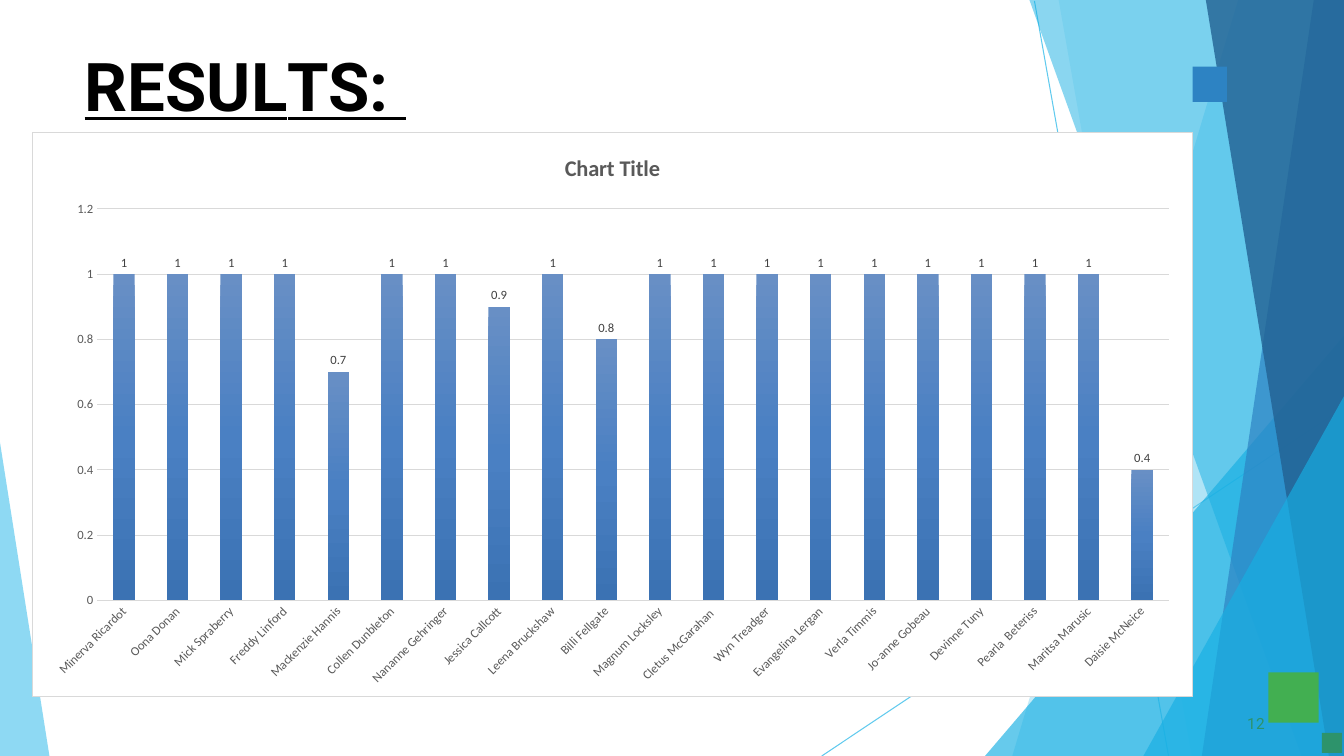
from dataclasses import dataclass
from lxml import etree
from pptx import Presentation
from pptx.chart.data import CategoryChartData
from pptx.dml.color import RGBColor
from pptx.enum.chart import XL_CHART_TYPE, XL_LABEL_POSITION, XL_TICK_MARK
from pptx.enum.shapes import MSO_CONNECTOR, MSO_SHAPE
from pptx.enum.text import MSO_ANCHOR, MSO_AUTO_SIZE, PP_ALIGN
from pptx.oxml import parse_xml
from pptx.oxml.ns import nsdecls, qn
from pptx.util import Inches, Pt

COLUMN = XL_CHART_TYPE.COLUMN_CLUSTERED
OUTSIDE = XL_LABEL_POSITION.OUTSIDE_END
NO_TICK = XL_TICK_MARK.NONE
STRAIGHT = MSO_CONNECTOR.STRAIGHT
RECT = MSO_SHAPE.RECTANGLE
TOP = MSO_ANCHOR.TOP
NO_FIT = MSO_AUTO_SIZE.NONE
LEFT = PP_ALIGN.LEFT

WIDE, HIGH = 13.33, 7.5
COLORS = {
    "sky": "5FCAEE", "cyan": "17AFE3", "blue": "2D83C3", "navy": "226192",
    "green": "42AF51", "teal": "2D936B", "black": "000000", "white": "FFFFFF",
    "rule": "D9D9D9", "axis": "595959", "label": "404040",
    "light": "688FC5", "mid": "4A80C3", "dark": "3B72B3",
}


@dataclass
class Facet:
    points: list[tuple[float, float]]
    color: str
    alpha: int


@dataclass
class Ray:
    start: tuple[float, float]
    end: tuple[float, float]


@dataclass
class Block:
    left: float
    top: float
    width: float
    height: float
    color: str


def band(top: float, foot: float) -> list[tuple[float, float]]:
    """Corners of a full-height band that ends at the right edge."""
    return [(WIDE, 0), (top, 0), (foot, HIGH), (WIDE, HIGH)]


def wedge(top: float, foot: float) -> list[tuple[float, float]]:
    """Corners of a triangle in the bottom right corner."""
    return [(WIDE, top), (foot, HIGH), (WIDE, HIGH)]


RAYS = [Ray((10.26, 0.01), (11.59, HIGH)), Ray((WIDE, 4.04), (8.15, HIGH))]
FACETS = [
    Facet(band(12.28, 10.04), "sky", 36),
    Facet(band(10.5, 11.82), "sky", 20),
    Facet(wedge(3.33, 9.77), "cyan", 66),
    Facet(band(10.21, 12.91), "cyan", 50),
    Facet(band(13.03, 11.92), "blue", 70),
    Facet(band(11.96, 13.18), "navy", 80),
    Facet(wedge(3.93, 11.34), "cyan", 66),
    Facet([(0, 4.39), (0, HIGH), (0.49, HIGH)], "sky", 70),
]
BLOCKS = [
    Block(12.58, 6.67, 0.5, 0.5, "green"),
    Block(11.83, 0.66, 0.34, 0.35, "blue"),
    Block(13.11, 7.27, 0.2, 0.2, "teal"),
]
LETTERS = [("R", 0), ("E", -0.4), ("S", 0.1), ("U", -0.3), ("L", -4),
           ("TS: ", 0)]
SCORES = {
    "Minerva Ricardot": 1, "Oona Donan": 1, "Mick Spraberry": 1,
    "Freddy Linford": 1, "Mackenzie Hannis": 0.7, "Collen Dunbleton": 1,
    "Nananne Gehringer": 1, "Jessica Callcott": 0.9, " Leena Bruckshaw": 1,
    "Billi Fellgate": 0.8, "Magnum Locksley": 1, "Cletus McGarahan ": 1,
    " Wyn Treadger": 1, "Evangelina Lergan": 1, "Verla Timmis": 1,
    "Jo-anne Gobeau": 1, "Devinne Tuny": 1, "Pearla  Beteriss": 1,
    "Maritsa Marusic": 1, "Daisie McNeice": 0.4,
}
BOX = (0.32, 1.31, 11.51, 5.61)
PLOT = (0.64, 0.76, 10.64, 3.89)
FRAME = dict(margin_left=0, margin_right=0, margin_bottom=0, word_wrap=True,
             margin_top=Inches(0.01), vertical_anchor=TOP, auto_size=NO_FIT)


def rgb(name: str) -> RGBColor:
    return RGBColor.from_string(COLORS[name])


def style(item, **values) -> None:
    for key, value in values.items():
        setattr(item, key, value)


def ink(font, face: str, size: float, color: str, **values) -> None:
    style(font, name=face, size=Pt(size), **values)
    font.color.rgb = rgb(color)


def paint(shape, color: str) -> None:
    shape.shadow.inherit = False
    shape.fill.solid()
    shape.fill.fore_color.rgb = rgb(color)
    shape.line.fill.background()


def draw_ray(slide, ray: Ray) -> None:
    ends = [Inches(n) for n in ray.start + ray.end]
    line = slide.shapes.add_connector(STRAIGHT, *ends)
    line.line.color.rgb = rgb("sky")
    line.line.width = Pt(0.75)
    etree.SubElement(line.element.spPr, qn("a:effectLst"))


def draw_facet(slide, facet: Facet) -> None:
    first, *rest = [(Inches(x), Inches(y)) for x, y in facet.points]
    path = slide.shapes.build_freeform(*first)
    path.add_line_segments(rest, close=True)
    shape = path.convert_to_shape()
    paint(shape, facet.color)
    tint = shape.element.spPr.find(f"{qn('a:solidFill')}/{qn('a:srgbClr')}")
    etree.SubElement(tint, qn("a:alpha"), val=str(facet.alpha * 1000))


def draw_block(slide, block: Block) -> None:
    place = (block.left, block.top, block.width, block.height)
    paint(slide.shapes.add_shape(RECT, *map(Inches, place)), block.color)


def write_title(slide) -> None:
    title = slide.shapes.title
    style(title, left=Inches(0.84), top=Inches(0.43),
          width=Inches(3.42), height=Inches(0.82))
    style(title.text_frame, **FRAME)
    para = title.text_frame.paragraphs[0]
    style(para, alignment=LEFT, space_before=Pt(1.1))
    for text, gap in LETTERS:
        run = para.add_run()
        run.text = text
        ink(run.font, "Roboto", 48, "black", bold=True, underline=True)
        run.font._element.set("spc", str(round(gap * 100)))


def write_page(slide) -> None:
    box = slide.shapes.add_textbox(*map(Inches, (12.33, 7.07, 0.25, 0.21)))
    style(box.text_frame, **FRAME)
    box.text_frame.margin_left = Inches(0.04)
    para = box.text_frame.paragraphs[0]
    run = para.add_run()
    run.text = "12"
    ink(run.font, "Roboto", 11, "teal")
    run.font._element.set("spc", "10")


def shade(bars) -> None:
    """Give the bars a three-stop vertical gradient."""
    stops = "".join(
        f'<a:gs pos="{pos}"><a:srgbClr val="{COLORS[name]}"/></a:gs>'
        for pos, name in ((0, "light"), (50000, "mid"), (100000, "dark")))
    bars.format.fill.background()
    props = bars.format.fill._xPr
    props.replace(props.find(qn("a:noFill")), parse_xml(
        f'<a:gradFill {nsdecls("a")}><a:gsLst>{stops}</a:gsLst>'
        '<a:lin ang="5400000" scaled="0"/></a:gradFill>'))


def fit_plot(chart) -> None:
    """Fix the inner plot area and frame the whole chart."""
    root = chart.element.find(qn("c:chart"))
    sides = zip("xywh", PLOT, BOX[2:] * 2)
    spots = "".join(f'<c:{side} val="{part / full:.4f}"/>'
                    for side, part, full in sides)
    root.find(qn("c:plotArea")).insert(0, parse_xml(
        f'<c:layout {nsdecls("c")}><c:manualLayout>'
        '<c:layoutTarget val="inner"/><c:xMode val="edge"/>'
        f'<c:yMode val="edge"/>{spots}</c:manualLayout></c:layout>'))
    root.addnext(parse_xml(
        f'<c:spPr {nsdecls("c", "a")}><a:solidFill>'
        f'<a:srgbClr val="{COLORS["white"]}"/></a:solidFill><a:ln w="9525">'
        f'<a:solidFill><a:srgbClr val="{COLORS["rule"]}"/></a:solidFill>'
        '</a:ln></c:spPr>'))


def draw_chart(slide) -> None:
    data = CategoryChartData()
    data.categories = list(SCORES)
    data.add_series("Series 1", list(SCORES.values()))
    chart = slide.shapes.add_chart(COLUMN, *map(Inches, BOX), data).chart
    ink(chart.font, "Calibri", 10, "black")
    chart.has_legend = False
    chart.chart_title.text_frame.text = "Chart Title"
    ink(chart.chart_title.text_frame.paragraphs[0].runs[0].font,
        "Calibri", 16, "axis", bold=True)
    cats, vals = chart.category_axis, chart.value_axis
    for axis in (cats, vals):
        style(axis, major_tick_mark=NO_TICK, minor_tick_mark=NO_TICK)
        ink(axis.tick_labels.font, "Calibri", 9, "axis")
    style(vals, minimum_scale=0, maximum_scale=1.2, major_unit=0.2)
    vals.format.line.fill.background()
    for line, width in ((cats.format.line, 1),
                        (vals.major_gridlines.format.line, 0.75)):
        line.color.rgb = rgb("rule")
        line.width = Pt(width)
    turn = cats._element.find(f"{qn('c:txPr')}/{qn('a:bodyPr')}")
    turn.set("rot", "-60000000")
    plot = chart.plots[0]
    style(plot, gap_width=150, vary_by_categories=False, has_data_labels=True)
    style(plot.data_labels, show_value=True, position=OUTSIDE)
    ink(plot.data_labels.font, "Calibri", 9, "label")
    shade(plot.series[0])
    fit_plot(chart)


def main() -> None:
    deck = Presentation()
    style(deck, slide_width=Inches(WIDE), slide_height=Inches(HIGH))
    slide = deck.slides.add_slide(deck.slide_layouts[5])
    for draw, items in ((draw_ray, RAYS), (draw_facet, FACETS),
                        (draw_block, BLOCKS)):
        for item in items:
            draw(slide, item)
    write_title(slide)
    write_page(slide)
    draw_chart(slide)
    deck.save("out.pptx")


if __name__ == "__main__":
    main()
